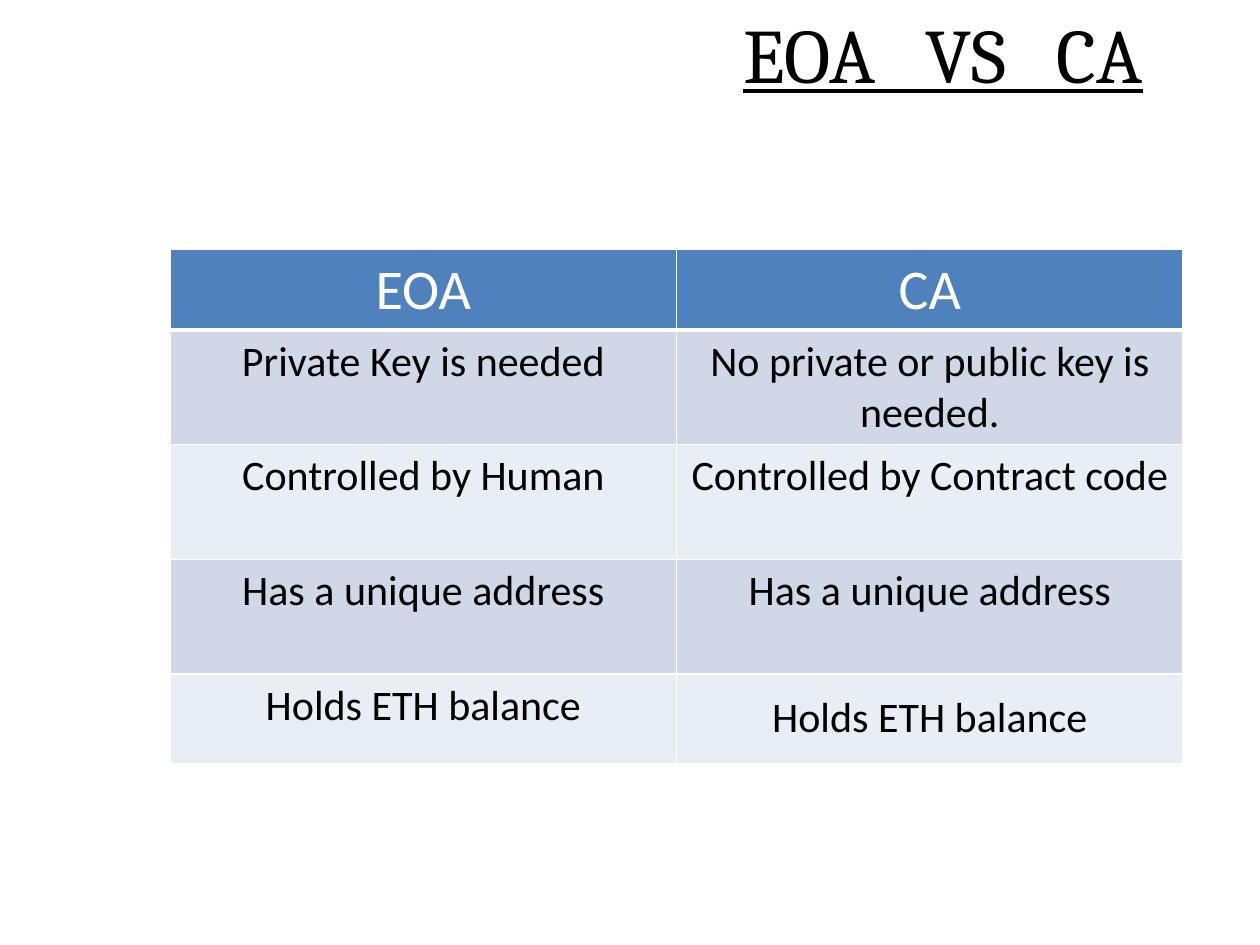
from lxml.etree import SubElement
from pptx import Presentation
from pptx.dml.color import RGBColor
from pptx.enum.text import MSO_ANCHOR, PP_ALIGN
from pptx.oxml.ns import qn
from pptx.util import Inches, Pt

COLORS = {
    "header": "4F81BD",
    "odd_row": "D0D8E8",
    "even_row": "E9EDF4",
    "light": "FFFFFF",
    "dark": "000000",
}
ROWS = [
    ("EOA", "CA"),
    ("Private Key is needed", "No private or public key is needed."),
    ("Controlled by Human", "Controlled by Contract code"),
    ("Has a unique address", "Has a unique address"),
    ("Holds ETH balance", "Holds ETH balance"),
]
ROW_HEIGHTS = [0.64, 0.91, 0.91, 0.91, 0.71]
COLUMN_WIDTH = 4.02


def color(name):
    return RGBColor.from_string(COLORS[name])


def add_centered_run(text_frame, text, font_name, size, color_name):
    paragraph = text_frame.paragraphs[0]
    paragraph.alignment = PP_ALIGN.CENTER
    run = paragraph.add_run()
    run.text = text
    run.font.name = font_name
    run.font.size = Pt(size)
    run.font.bold = False
    run.font.color.rgb = color(color_name)
    return run


def add_title(slide, text):
    shape = slide.shapes.add_textbox(Inches(3.36), Inches(-0.38), Inches(8.25), Inches(1.59))
    text_frame = shape.text_frame
    text_frame.word_wrap = True
    text_frame.vertical_anchor = MSO_ANCHOR.MIDDLE
    run = add_centered_run(text_frame, text, "Cambria", 44, "dark")
    run.font.underline = True


def set_borders(cell, bottom_width):
    properties = cell._tc.get_or_add_tcPr()
    widths = {"a:lnL": 1, "a:lnR": 1, "a:lnT": 1, "a:lnB": bottom_width}
    for position, (tag, width) in enumerate(widths.items()):
        line = SubElement(properties, qn(tag), w=str(Pt(width)))
        fill = SubElement(line, qn("a:solidFill"))
        SubElement(fill, qn("a:srgbClr"), val=COLORS["light"])
        properties.insert(position, line)


def set_margins(cell, horizontal, vertical):
    cell.margin_left = cell.margin_right = Inches(horizontal)
    cell.margin_top = cell.margin_bottom = Inches(vertical)


def fill_cell(cell, text, is_header, fill_name):
    cell.fill.solid()
    cell.fill.fore_color.rgb = color(fill_name)
    set_margins(cell, 0.07, 0.05)
    set_borders(cell, 3 if is_header else 1)
    size, text_color = (32, "light") if is_header else (24, "dark")
    add_centered_run(cell.text_frame, text, "Calibri", size, text_color)


def add_comparison_table(slide):
    table = slide.shapes.add_table(
        len(ROWS), 2, Inches(1.35), Inches(1.98),
        Inches(2 * COLUMN_WIDTH), Inches(sum(ROW_HEIGHTS)),
    ).table
    for column in table.columns:
        column.width = Inches(COLUMN_WIDTH)
    for row_index, (texts, height) in enumerate(zip(ROWS, ROW_HEIGHTS)):
        table.rows[row_index].height = Inches(height)
        is_header = row_index == 0
        fill_name = "header" if is_header else "odd_row" if row_index % 2 else "even_row"
        for column_index, text in enumerate(texts):
            fill_cell(table.cell(row_index, column_index), text, is_header, fill_name)
    set_margins(table.cell(len(ROWS) - 1, 1), 0.11, 0.15)


def main():
    presentation = Presentation()
    presentation.slide_width = Inches(10)
    presentation.slide_height = Inches(7.5)
    slide = presentation.slides.add_slide(presentation.slide_layouts[6])
    add_title(slide, "EOA   VS   CA")
    add_comparison_table(slide)
    presentation.save("out.pptx")


if __name__ == "__main__":
    main()
